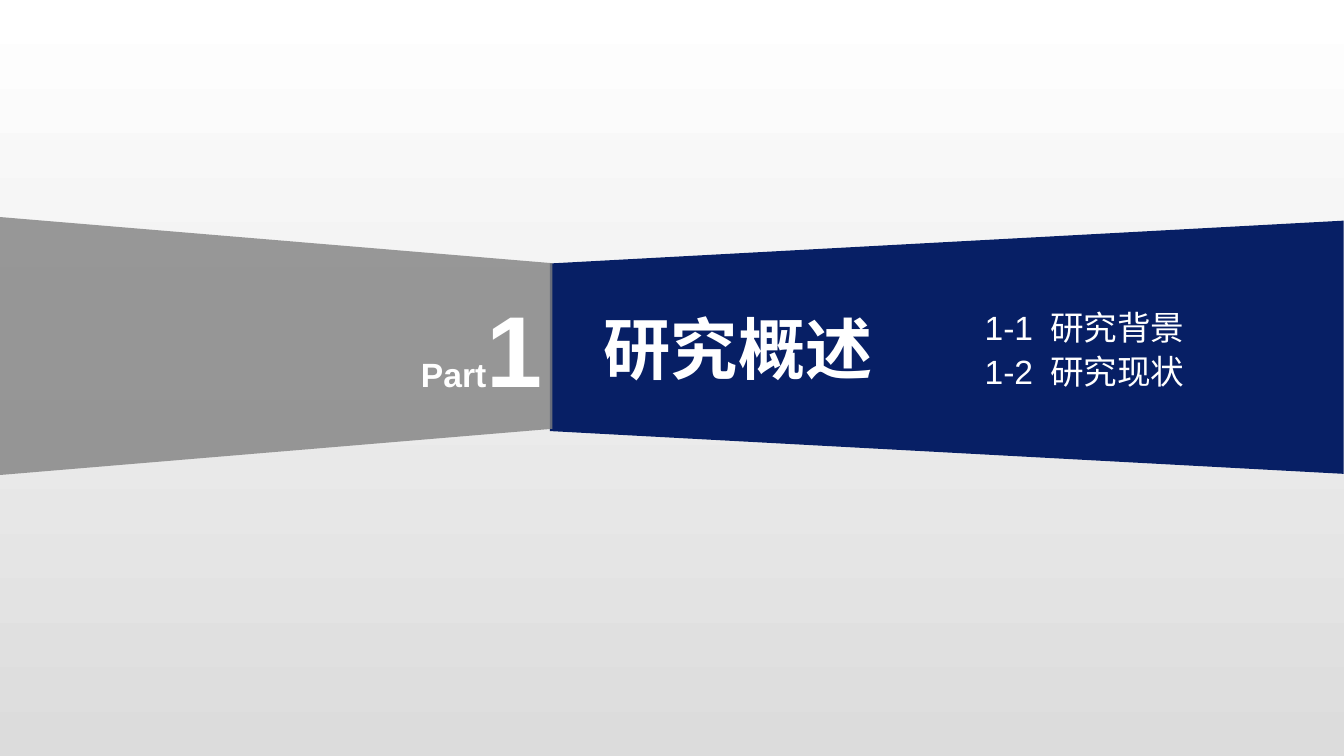
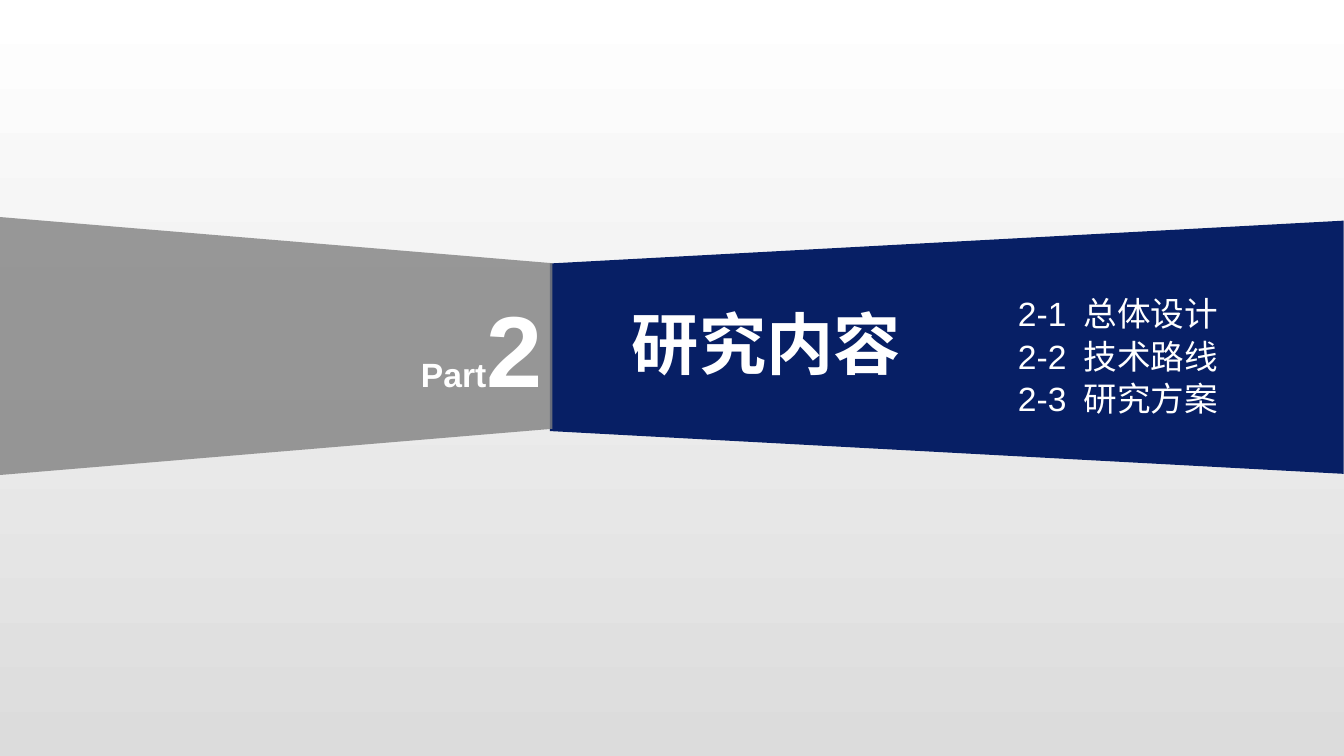
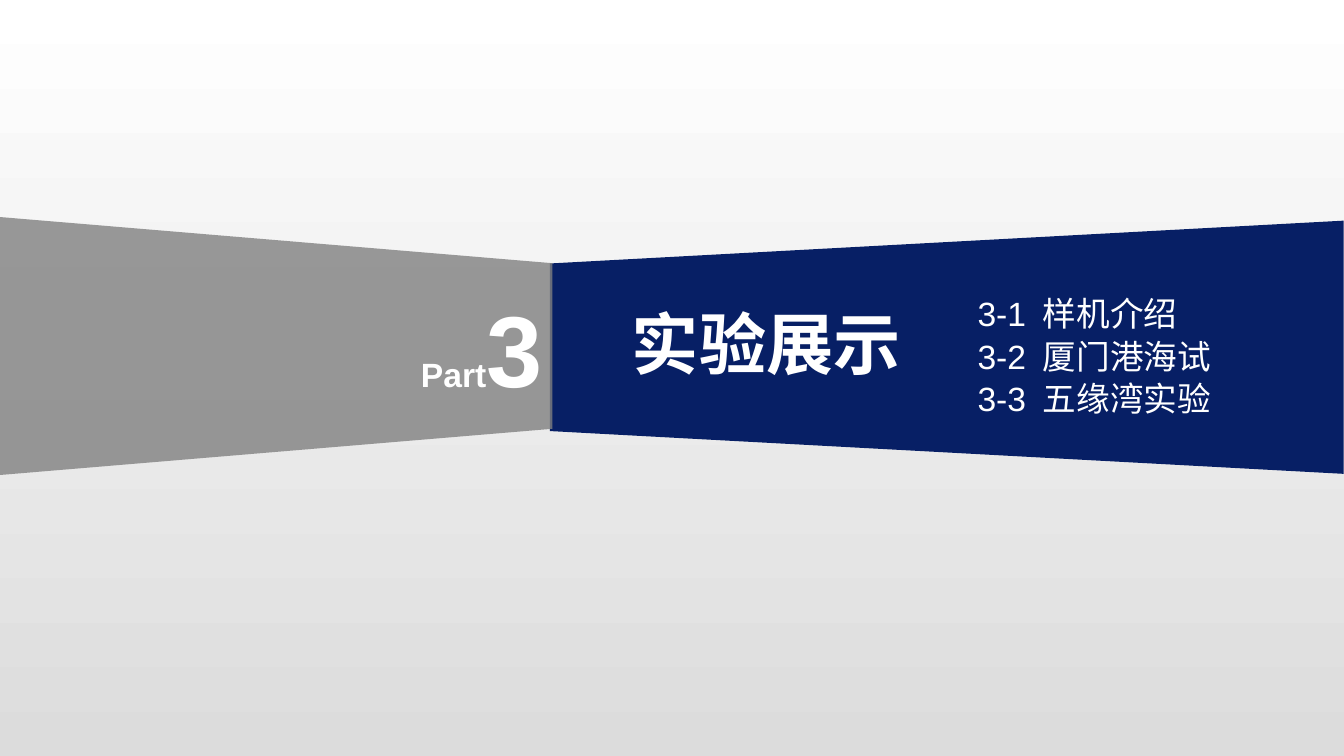
"""Build three section-divider slides with a shared two-band design."""
from dataclasses import dataclass

from lxml import etree
from pptx import Presentation
from pptx import util as u
from pptx.dml.color import RGBColor
from pptx.enum import shapes, text
from pptx.oxml import ns


@dataclass(frozen=True)
class Theme:
    font: str = "Arial"
    white: RGBColor = RGBColor(0xFF, 0xFF, 0xFF)
    mist: RGBColor = RGBColor(0xDC, 0xDC, 0xDC)
    navy: RGBColor = RGBColor(0x07, 0x1F, 0x65)
    grey: RGBColor = RGBColor(0x80, 0x80, 0x80)
    number_size: int = 72
    title_size: int = 48
    text_size: int = 24


class Deck:
    def __init__(self, theme):
        self.theme = theme
        self.prs = Presentation()
        self.prs.slide_width, self.prs.slide_height = u.Cm(33.87), u.Cm(19.05)
        backdrop = self.prs.slide_master.background.fill
        backdrop.gradient()
        backdrop.gradient_angle = 270
        for stop, colour in zip(backdrop.gradient_stops, (theme.white, theme.mist)):
            stop.color.rgb = colour

    def new_slide(self):
        self.slide = self.prs.slides.add_slide(self.prs.slide_layouts[1])
        self.band(0, 5.47, 13.92, 6.5, 90, 0.179, self.theme.grey, 80)
        self.band(13.86, 5.56, 20, 6.38, 270, 0.169, self.theme.navy)

    def band(self, left, top, width, height, turn, taper, colour, opacity=100):
        shift = (width - height) / 2
        band = self.slide.shapes.add_shape(
            shapes.MSO_SHAPE.TRAPEZOID,
            u.Cm(left + shift), u.Cm(top - shift), u.Cm(height), u.Cm(width))
        band.rotation = turn
        band.adjustments[0] = taper
        band.shadow.inherit = False
        band.line.fill.background()
        band.fill.solid()
        band.fill.fore_color.rgb = colour
        if opacity < 100:
            tint = band.fill._xPr.find(".//" + ns.qn("a:srgbClr"))
            etree.SubElement(tint, ns.qn("a:alpha"), val=str(opacity * 1000))
        self.slide.shapes._spTree.insert(2, band._element)

    def place(self, holder, left, top, width, height, wrap):
        holder.left, holder.top = u.Cm(left), u.Cm(top)
        holder.width, holder.height = u.Cm(width), u.Cm(height)
        frame = holder.text_frame
        frame.auto_size = text.MSO_AUTO_SIZE.NONE
        frame.vertical_anchor = text.MSO_ANCHOR.TOP
        frame.word_wrap = wrap
        return frame

    def style(self, paragraph, size=None, bold=False):
        paragraph.alignment = text.PP_ALIGN.LEFT
        font = paragraph.font
        font.name, font.bold = self.theme.font, bold
        font.color.rgb = self.theme.white
        if size:
            font.size = u.Pt(size)

    def part_number(self, number):
        label = self.slide.shapes.add_textbox(0, 0, 0, 0)
        paragraph = self.place(label, 10.36, 7.11, 3.56, 3.33, False).paragraphs[0]
        self.style(paragraph, bold=True)
        for word, size in (("Part", self.theme.text_size),
                           (str(number), self.theme.number_size)):
            run = paragraph.add_run()
            run.text, run.font.size = word, u.Pt(size)

    def title(self, heading, left, top):
        frame = self.place(self.slide.shapes.title, left, top, 7.29, 2.31, False)
        frame.text = heading
        self.style(frame.paragraphs[0], self.theme.title_size, True)

    def topics(self, part, names, left, top, gap):
        frame = self.place(self.slide.placeholders[1], left, top, 7.6,
                           0.2 + 1.08 * len(names), True)
        frame.text = "\n".join(
            f"{part}-{index}\t{name}" for index, name in enumerate(names, 1))
        hang = u.Cm(1.65)
        for index, paragraph in enumerate(frame.paragraphs):
            paragraph.space_before = u.Pt(gap if index else 0)
            layout = paragraph._p.get_or_add_pPr()
            layout.set("marL", str(hang))
            layout.set("indent", str(-hang))
            etree.SubElement(layout, ns.qn("a:buNone"))
            self.style(paragraph, self.theme.text_size)


PARTS = [
    ("研究概述", (14.96, 7.62), ("研究背景", "研究现状"), (24.56, 7.6, 2.5)),
    ("研究内容", (15.67, 7.48), ("总体设计", "技术路线", "研究方案"), (25.4, 7.26, 1.5)),
    ("实验展示", (15.67, 7.48), ("样机介绍", "厦门港海试", "五缘湾实验"), (24.38, 7.26, 1.5)),
]


def main():
    deck = Deck(Theme())
    for number, (heading, heading_at, names, names_at) in enumerate(PARTS, 1):
        deck.new_slide()
        deck.part_number(number)
        deck.title(heading, *heading_at)
        deck.topics(number, names, *names_at)
    deck.prs.save("out.pptx")


if __name__ == "__main__":
    main()
